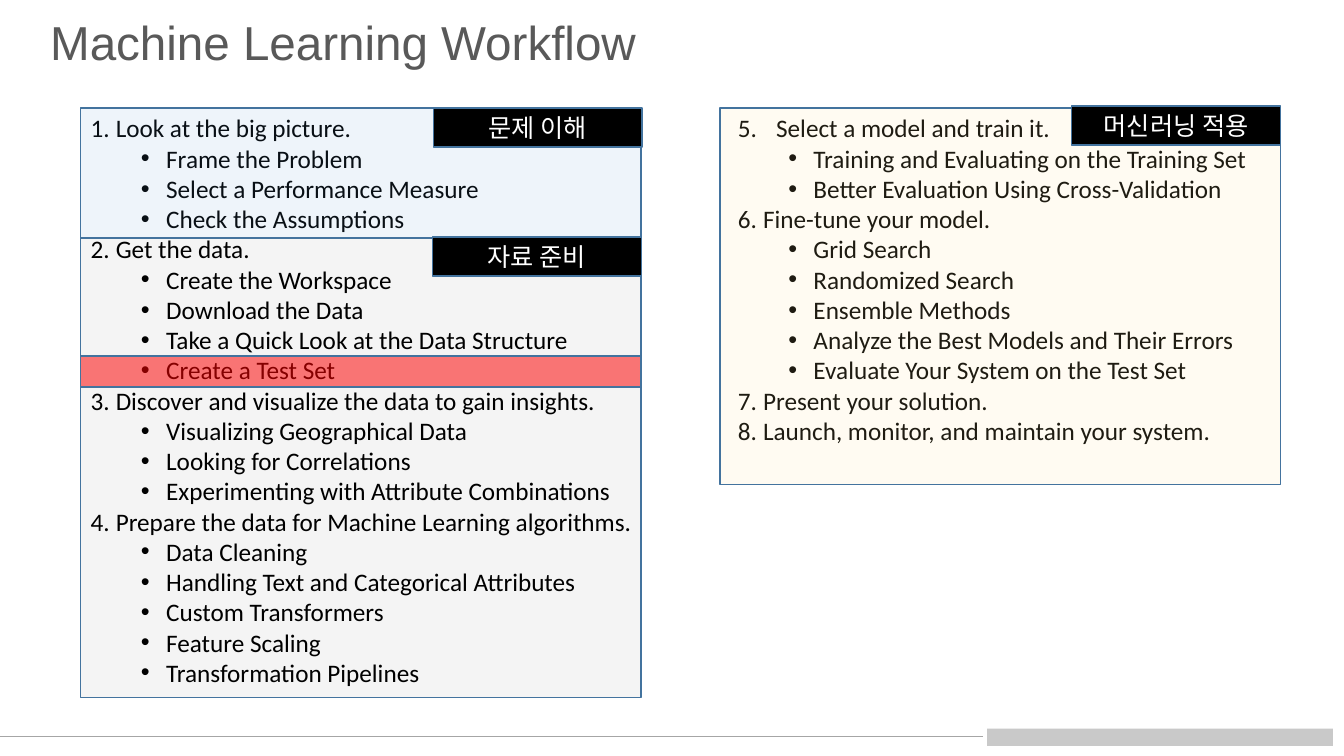
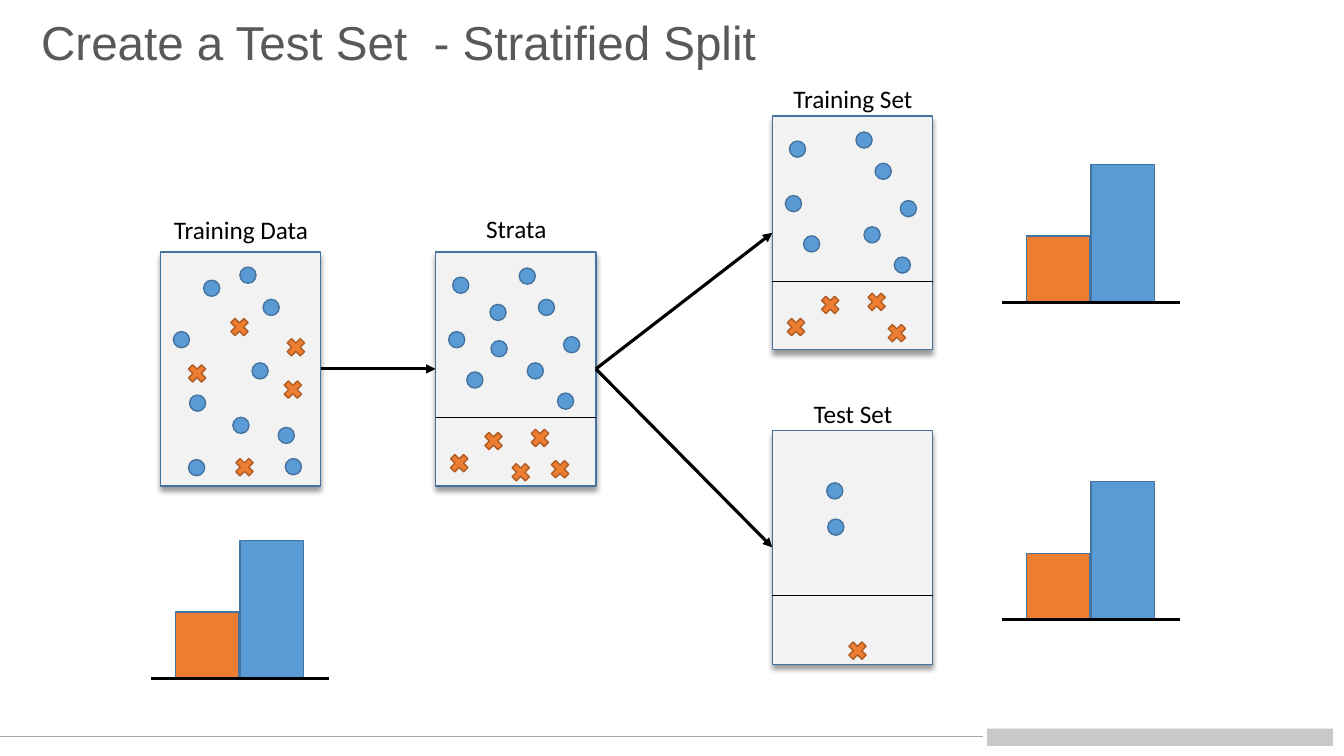
"""Build two slides on a machine learning workflow and its stratified split."""
from pptx import Presentation
from pptx.dml.color import RGBColor
from pptx.enum.shapes import MSO_CONNECTOR as Connector, MSO_SHAPE as Shape
from pptx.enum.text import MSO_ANCHOR as Anchor, PP_ALIGN as Align
from pptx.oxml.ns import qn
from pptx.util import Pt
from lxml.etree import SubElement

EMU_PER_PX = 9144
SLIDE_WIDTH, SLIDE_HEIGHT = 1333, 750
CARD_WIDTH, CARD_HEIGHT, STRATA_DEPTH = 159, 232, 164
DOT_SIZE, CROSS_SIZE = 16, 25
PANEL_WIDTH, LIST_WIDTH = 556, 667
TAG_WIDTH, TAG_HEIGHT = 207, 39
LEFT, RIGHT = 1, 3

BLACK = RGBColor(0x00, 0x00, 0x00)
WHITE = RGBColor(0xFF, 0xFF, 0xFF)
GREY = RGBColor(0x59, 0x59, 0x59)
RULE_GREY = RGBColor(0xA6, 0xA6, 0xA6)
CARD_GREY = RGBColor(0xF2, 0xF2, 0xF2)
PANEL_GREY = RGBColor(0xC9, 0xC9, 0xC9)
PANEL_YELLOW = RGBColor(0xFF, 0xE6, 0x99)
RED = RGBColor(0xFF, 0x00, 0x00)
BLUE = RGBColor(0x5B, 0x9B, 0xD5)
OUTLINE_BLUE = RGBColor(0x43, 0x73, 0x9E)
ORANGE = RGBColor(0xED, 0x7D, 0x31)
OUTLINE_ORANGE = RGBColor(0xAF, 0x5C, 0x24)

PREPARATION_STEPS = [
    ("Look at the big picture.",
     ["Frame the Problem", "Select a Performance Measure", "Check the Assumptions"]),
    ("Get the data.",
     ["Create the Workspace", "Download the Data",
      "Take a Quick Look at the Data Structure", "Create a Test Set"]),
    ("Discover and visualize the data to gain insights.",
     ["Visualizing Geographical Data", "Looking for Correlations",
      "Experimenting with Attribute Combinations"]),
    ("Prepare the data for Machine Learning algorithms.",
     ["Data Cleaning", "Handling Text and Categorical Attributes",
      "Custom Transformers", "Feature Scaling", "Transformation Pipelines"]),
]
MODEL_STEPS = [
    ("Select a model and train it.",
     ["Training and Evaluating on the Training Set",
      "Better Evaluation Using Cross-Validation"]),
    ("Fine-tune your model.",
     ["Grid Search", "Randomized Search", "Ensemble Methods",
      "Analyze the Best Models and Their Errors", "Evaluate Your System on the Test Set"]),
    ("Present your solution.", []),
    ("Launch, monitor, and maintain your system.", []),
]

MIXED_DOTS = [(43, 28), (102, 47), (13, 79), (91, 110), (29, 142),
              (117, 174), (28, 206), (124, 205), (79, 15), (72, 164)]
MIXED_CROSSES = [(66, 62), (24, 108), (71, 201), (119, 124), (122, 82)]
TRAINING_DOTS = [(17, 25), (102, 47), (13, 79), (91, 110),
                 (121, 140), (83, 16), (127, 84), (31, 119)]
TRAINING_CROSSES = [(91, 172), (45, 175), (111, 203), (11, 197)]
TEST_DOTS = [(54, 52), (55, 88)]
TEST_CROSSES = [(72, 206)]


def px(*lengths):
    """Turn lengths in px into EMU."""
    return [length * EMU_PER_PX for length in lengths]


def add_run(paragraph, text, size, color, font="Calibri"):
    """Append one styled run."""
    run = paragraph.add_run()
    run.text = text
    run.font.name = font
    run.font.size = Pt(size)
    run.font.color.rgb = color


def add_text_frame(slide, box):
    """Add a wrapping text box and return its frame."""
    frame = slide.shapes.add_textbox(*px(*box)).text_frame
    frame.word_wrap = True
    return frame


def add_block(slide, box, fill, outline=OUTLINE_BLUE, kind=Shape.RECTANGLE, opacity=100):
    """Add a filled shape without a shadow."""
    shape = slide.shapes.add_shape(kind, *px(*box))
    shape.shadow.inherit = False
    shape.fill.solid()
    shape.fill.fore_color.rgb = fill
    if opacity < 100:
        color = shape._element.spPr.find(qn("a:solidFill"))[0]
        SubElement(color, qn("a:alpha"), val=str(opacity * 1000))
    if outline is None:
        shape.line.fill.background()
    else:
        shape.line.color.rgb = outline
        shape.line.width = Pt(1)
    return shape


def add_line(slide, start, end, width, color=BLACK):
    """Add a straight connector without a shadow."""
    line = slide.shapes.add_connector(Connector.STRAIGHT, *px(*start, *end))
    line.line.color.rgb = color
    line.line.width = Pt(width)
    SubElement(line._element.spPr, qn("a:effectLst"))
    return line


def add_arrow(slide, source, target):
    """Join the right side of one card to the left side of another."""
    arrow = add_line(slide, (0, 0), (0, 0), 2.25)
    arrow.begin_connect(source, RIGHT)
    arrow.end_connect(target, LEFT)
    SubElement(arrow.line._get_or_add_ln(), qn("a:tailEnd"), type="triangle")


def add_footer(slide):
    """Add the rule and a plain block at the foot of a slide."""
    add_line(slide, (975, 731), (0, 731), 0.5, RULE_GREY)
    add_block(slide, (979, 723, 343, 17), PANEL_GREY, None)


def add_titled_slide(presentation, title, left):
    """Add a blank slide with the shared footer and title style."""
    slide = presentation.slides.add_slide(presentation.slide_layouts[6])
    add_footer(slide)
    frame = add_text_frame(slide, (left, 0, 1150, 89))
    frame.vertical_anchor = Anchor.MIDDLE
    frame.paragraphs[0].line_spacing = 0.9
    add_run(frame.paragraphs[0], title, 34, GREY, "Arial")
    return slide


def indent_paragraph(paragraph, margin, hanging):
    """Give a paragraph a hanging indent and return its properties."""
    properties = paragraph._p.get_or_add_pPr()
    for name, length in zip(("marL", "indent"), px(margin, -hanging)):
        properties.set(name, str(length))
    return properties


def add_step_list(slide, box, steps, start=1, first_indent=25):
    """Add numbered steps, each with bulleted tasks."""
    frame = add_text_frame(slide, box)
    for index, (heading, tasks) in enumerate(steps):
        paragraph = frame.add_paragraph() if index else frame.paragraphs[0]
        indent = 25 if index else first_indent
        properties = indent_paragraph(paragraph, indent, indent)
        SubElement(properties, qn("a:buFont"), typeface="+mj-lt")
        SubElement(properties, qn("a:buAutoNum"), type="arabicPeriod", startAt=str(start))
        add_run(paragraph, heading, 18, BLACK)
        for task in tasks:
            paragraph = frame.add_paragraph()
            paragraph.level = 1
            properties = indent_paragraph(paragraph, 75, 25)
            SubElement(properties, qn("a:buFont"), typeface="Arial")
            SubElement(properties, qn("a:buChar"), char="•")
            add_run(paragraph, task, 18, BLACK)


def add_tag(slide, left, top, text):
    """Add a black phase tag."""
    tag = add_block(slide, (left, top, TAG_WIDTH, TAG_HEIGHT), BLACK)
    frame = tag.text_frame
    frame.vertical_anchor = Anchor.MIDDLE
    frame.paragraphs[0].alignment = Align.CENTER
    add_run(frame.paragraphs[0], text, 18, WHITE)


def add_card(slide, left, top, label, label_rise, dots, crosses, divided=True):
    """Add a labelled sample card with its dots and crosses."""
    card = add_block(slide, (left, top, CARD_WIDTH, CARD_HEIGHT), CARD_GREY)
    effects = card._element.spPr.find(qn("a:effectLst"))
    shadow = SubElement(effects, qn("a:outerShdw"), blurRad=str(Pt(4)), dist=str(Pt(3)),
                        dir="5400000", algn="t", rotWithShape="0")
    color = SubElement(shadow, qn("a:srgbClr"), val=str(BLACK))
    SubElement(color, qn("a:alpha"), val="40000")
    for x, y in dots:
        add_block(slide, (left + x, top + y, DOT_SIZE, DOT_SIZE), BLUE, kind=Shape.OVAL)
    for x, y in crosses:
        add_block(slide, (left + x, top + y, CROSS_SIZE, CROSS_SIZE), ORANGE,
                  OUTLINE_ORANGE, Shape.MATH_MULTIPLY)
    if divided:
        divider = top + STRATA_DEPTH
        add_line(slide, (left, divider), (left + CARD_WIDTH, divider), 0.5)
    paragraph = add_text_frame(slide, (left, top - label_rise, 160, 40)).paragraphs[0]
    paragraph.alignment = Align.CENTER
    add_run(paragraph, label, 18, BLACK)
    return card


def add_ratio_bars(slide, left, top):
    """Add the pair of bars that shows the class ratio."""
    base = top + 137
    for offset, height, fill in ((24, 66, ORANGE), (88, 137, BLUE)):
        add_block(slide, (left + offset, base - height, 63, height), fill)
    add_line(slide, (left, base), (left + 176, base), 2.25)


def build_workflow_slide(presentation):
    """Build the slide that lists the workflow steps."""
    slide = add_titled_slide(presentation, "Machine Learning Workflow", 40)
    left, right, top = 80, 714, 107
    add_block(slide, (left, 236, PANEL_WIDTH, 456), PANEL_GREY, opacity=19)
    add_step_list(slide, (left, top, LIST_WIDTH, 586), PREPARATION_STEPS)
    add_step_list(slide, (right + 8, top, LIST_WIDTH, 374), MODEL_STEPS, 5, 38)
    add_block(slide, (left, top, PANEL_WIDTH, 129), BLUE, opacity=10)
    add_tag(slide, 430, top, "문제 이해")
    add_tag(slide, 429, 235, "자료 준비")
    add_block(slide, (right, top, PANEL_WIDTH, 374), PANEL_YELLOW, opacity=12)
    add_tag(slide, right + PANEL_WIDTH - TAG_WIDTH, 105, "머신러닝 적용")
    add_block(slide, (left, 353, PANEL_WIDTH, 31), RED, opacity=52)


def build_split_slide(presentation):
    """Build the slide that shows the stratified split."""
    slide = add_titled_slide(presentation, "Create a Test Set  - Stratified Split", 31)
    data = add_card(slide, 159, 250, "Training Data", 42, MIXED_DOTS, MIXED_CROSSES, False)
    strata = add_card(slide, 432, 250, "Strata", 43, TRAINING_DOTS + TEST_DOTS,
                      TRAINING_CROSSES + TEST_CROSSES)
    training = add_card(slide, 766, 115, "Training Set", 37, TRAINING_DOTS, TRAINING_CROSSES)
    test = add_card(slide, 766, 427, "Test Set", 37, TEST_DOTS, TEST_CROSSES)
    for source, target in ((data, strata), (strata, training), (strata, test)):
        add_arrow(slide, source, target)
    for left, top in ((150, 536), (994, 163), (994, 478)):
        add_ratio_bars(slide, left, top)


def main():
    """Build and save the presentation."""
    presentation = Presentation()
    presentation.slide_width, presentation.slide_height = px(SLIDE_WIDTH, SLIDE_HEIGHT)
    build_workflow_slide(presentation)
    build_split_slide(presentation)
    presentation.save("out.pptx")


if __name__ == "__main__":
    main()
